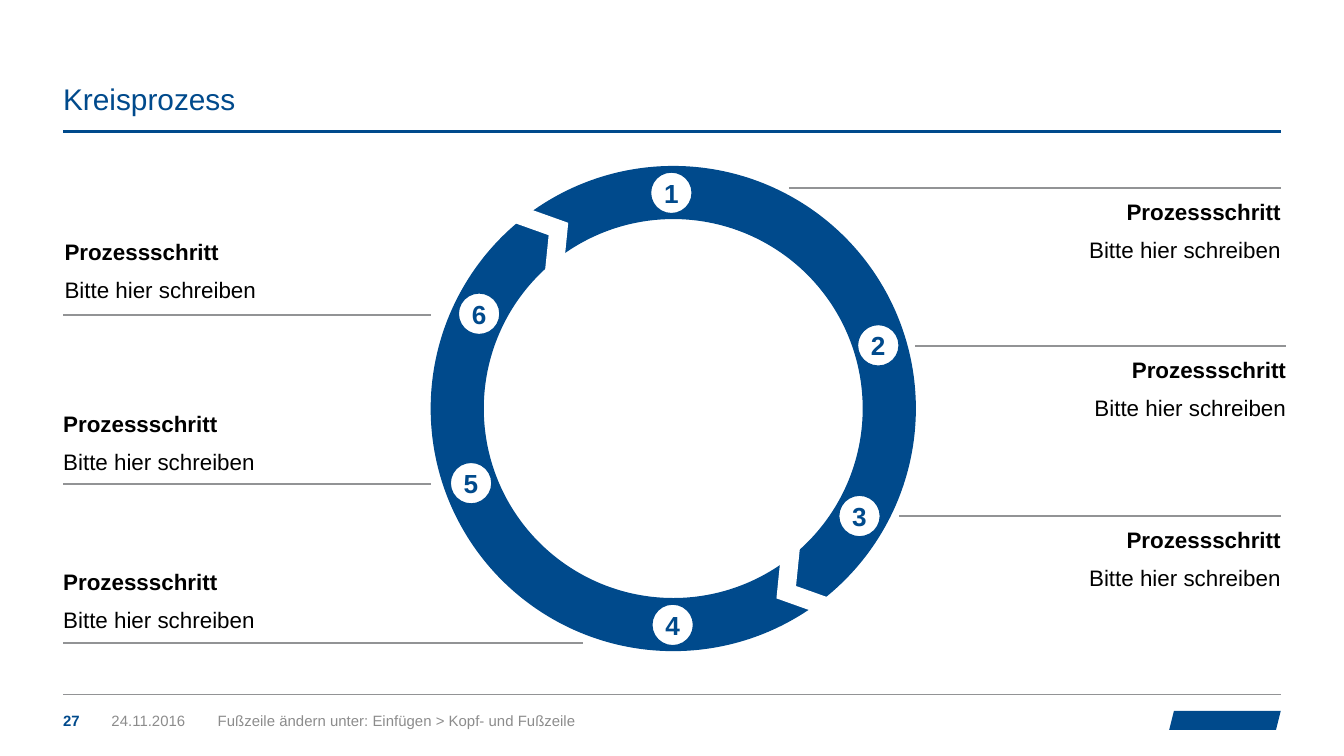
import pptx
import pptx.util
import pptx.dml.color
import pptx.enum.shapes
import pptx.enum.text
import pptx.oxml.ns
import lxml.etree

Pt = pptx.util.Pt
RGB = pptx.dml.color.RGBColor
Kind = pptx.enum.shapes.MSO_SHAPE
Side = pptx.enum.text.PP_ALIGN
Mid = pptx.enum.text.MSO_ANCHOR.MIDDLE
Low = pptx.enum.text.MSO_ANCHOR.BOTTOM
Top = pptx.enum.text.MSO_ANCHOR.TOP

BLUE = RGB(0x00, 0x4A, 0x8C)
GREY = RGB(0x92, 0x93, 0x95)
FOOT = RGB(0x8C, 0x8C, 0x8C)
BLACK = RGB(0, 0, 0)
WHITE = RGB(255, 255, 255)

LEFT, RIGHT = 33.84, 686.16
WIDE = RIGHT - LEFT


def write(frame, text, size=12, color=BLACK, bold=False, head=False,
          align=Side.LEFT, anchor=Top, gap=0, inset=(0, 0, 0, 0), wrap=True):
    """Fill a frame, one paragraph a line; head makes the first line bold."""
    frame.word_wrap = wrap
    frame.auto_size = pptx.enum.text.MSO_AUTO_SIZE.NONE
    frame.vertical_anchor = anchor
    (frame.margin_left, frame.margin_top,
     frame.margin_right, frame.margin_bottom) = map(Pt, inset)
    for i, line in enumerate(text.split("\n")):
        para = frame.paragraphs[0] if i == 0 else frame.add_paragraph()
        para.alignment = align
        para.space_before = para.space_after = Pt(gap)
        run = para.add_run()
        run.text = line
        font = run.font
        font.name, font.size = "Arial", Pt(size)
        font.bold = bold or (head and i == 0)
        font.color.rgb = color


class Page:
    def __init__(self, deck):
        self.slide = deck.slides.add_slide(deck.slide_layouts[5])
        self.shapes = self.slide.shapes

    def title(self, text, *box):
        shape = self.shapes.title
        shape.left, shape.top, shape.width, shape.height = map(Pt, box)
        write(shape.text_frame, text, size=16, color=BLUE, anchor=Low,
              inset=(0, 0, 0, 18))

    def text(self, text, *box, **form):
        shape = self.shapes.add_textbox(*map(Pt, box))
        write(shape.text_frame, text, **form)

    def line(self, x1, x2, y, color=GREY, width=1):
        rule = self.shapes.add_connector(
            pptx.enum.shapes.MSO_CONNECTOR.STRAIGHT,
            Pt(x1), Pt(y), Pt(x2), Pt(y))
        rule.line.color.rgb = color
        rule.line.width = Pt(width)
        lxml.etree.SubElement(rule._element.spPr,
                              pptx.oxml.ns.qn("a:effectLst"))

    def shape(self, kind, *box, fill=BLUE, edge=None, turn=0):
        shape = self.shapes.add_shape(kind, *map(Pt, box))
        shape.shadow.inherit = False
        shape.fill.solid()
        shape.fill.fore_color.rgb = fill
        if edge is None:
            shape.line.fill.background()
        else:
            shape.line.color.rgb = edge
            shape.line.width = Pt(0.75)
        shape.rotation = turn
        return shape

    def badge(self, label, x, y, size=22.32):
        disc = self.shape(Kind.OVAL, x, y, size, size, fill=WHITE, edge=BLUE)
        write(disc.text_frame, label, size=14, color=BLUE, bold=True,
              align=Side.CENTER, anchor=Mid, gap=3, inset=(8.64,) * 4,
              wrap=False)

    def step(self, x, y, align):
        self.text("Prozessschritt\nBitte hier schreiben", x, y, 150.48, 45.36,
                  head=True, gap=3, align=align)


deck = pptx.Presentation()
deck.slide_width, deck.slide_height = Pt(720), Pt(405)
page = Page(deck)

# Title and rules
page.title("Kreisprozess", LEFT, 13.68, WIDE, 66.96)
page.line(LEFT, RIGHT, 70.56, color=BLUE, width=1.5)
page.line(LEFT, RIGHT, 372.24, width=0.75)

# Footer with a plain brand mark
for text, x, width, color, bold in (
        ("27", LEFT, 24.48, BLUE, True),
        ("24.11.2016", 59.76, 53.28, FOOT, False),
        ("Fußzeile ändern unter: Einfügen > Kopf- und Fußzeile",
         116.64, 402.48, FOOT, False)):
    page.text(text, x, 375.12, width, 21.6, size=8, color=color, bold=bold,
              anchor=Mid, wrap=False)
page.shape(Kind.PARALLELOGRAM, 626.4, 380.88, 59.76, 10.08)

# Ring with two arrow gaps
ring = page.shape(Kind.DONUT, 231.12, 89.28, 259.2, 259.2, edge=BLUE)
ring.adjustments[0] = 0.11
ring.adjustments[0] = 0.107
for x, y, turn in ((281.52, 110.16, 327.7), (414, 298.08, 147.7)):
    page.shape(Kind.CHEVRON, x, y, 24.84, 31.68, fill=WHITE, turn=turn)

# Numbers on the ring
spots = ((348.48, 92.16), (459.36, 173.88), (449.28, 265.32),
         (349.2, 323.64), (241.2, 247.68), (245.52, 156.96))
for i, (x, y) in enumerate(spots, 1):
    page.badge(str(i), x, y)

# Steps on the left: text above its line
for x, y, end, rule in ((34.56, 127.44, 231.12, 168.6),
                        (LEFT, 219.6, 231.12, 259.2),
                        (LEFT, 304.56, 312.48, 344.4)):
    page.step(x, y, Side.LEFT)
    page.line(LEFT, end, rule)

# Steps on the right: text below its line
for start, end, rule in ((422.64, RIGHT, 100.6), (490.32, 689.04, 185.6),
                         (481.68, RIGHT, 276.4)):
    page.line(start, end, rule)
    page.step(end - 150.48, rule + 5.4, Side.RIGHT)

deck.save("out.pptx")
